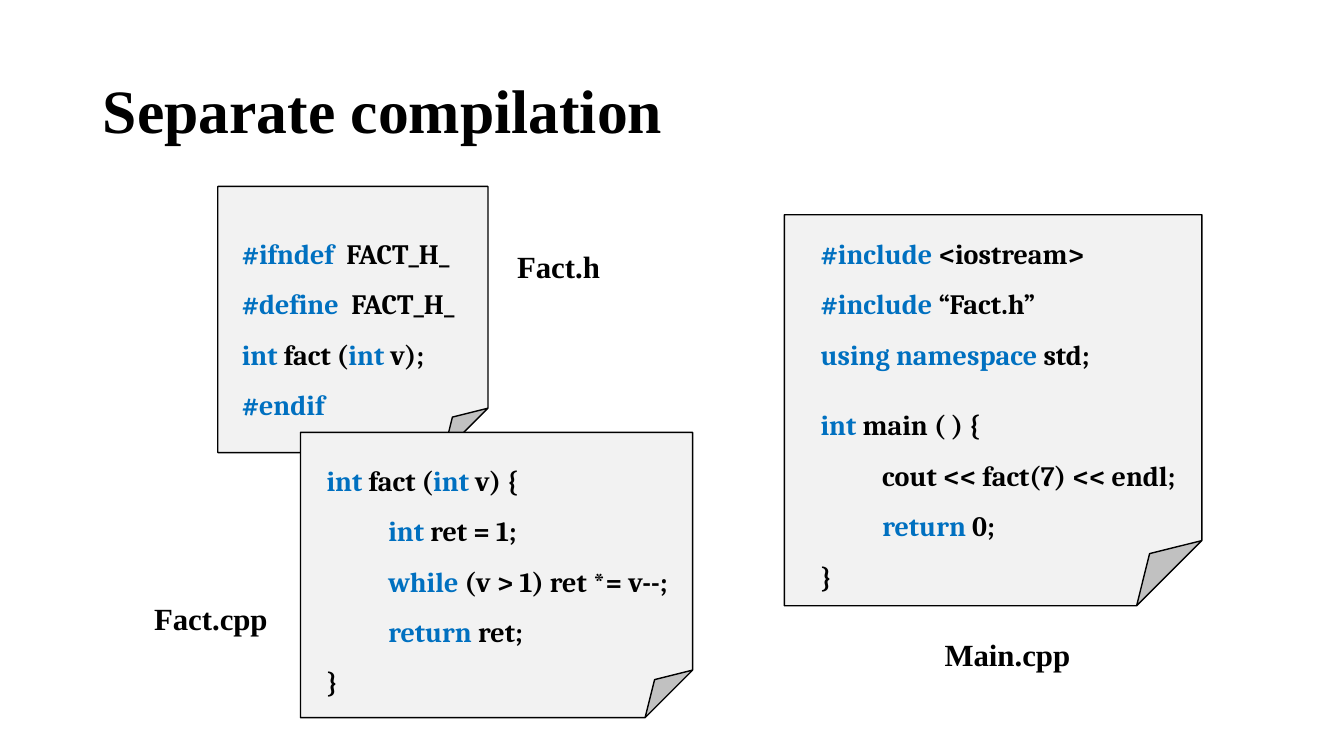
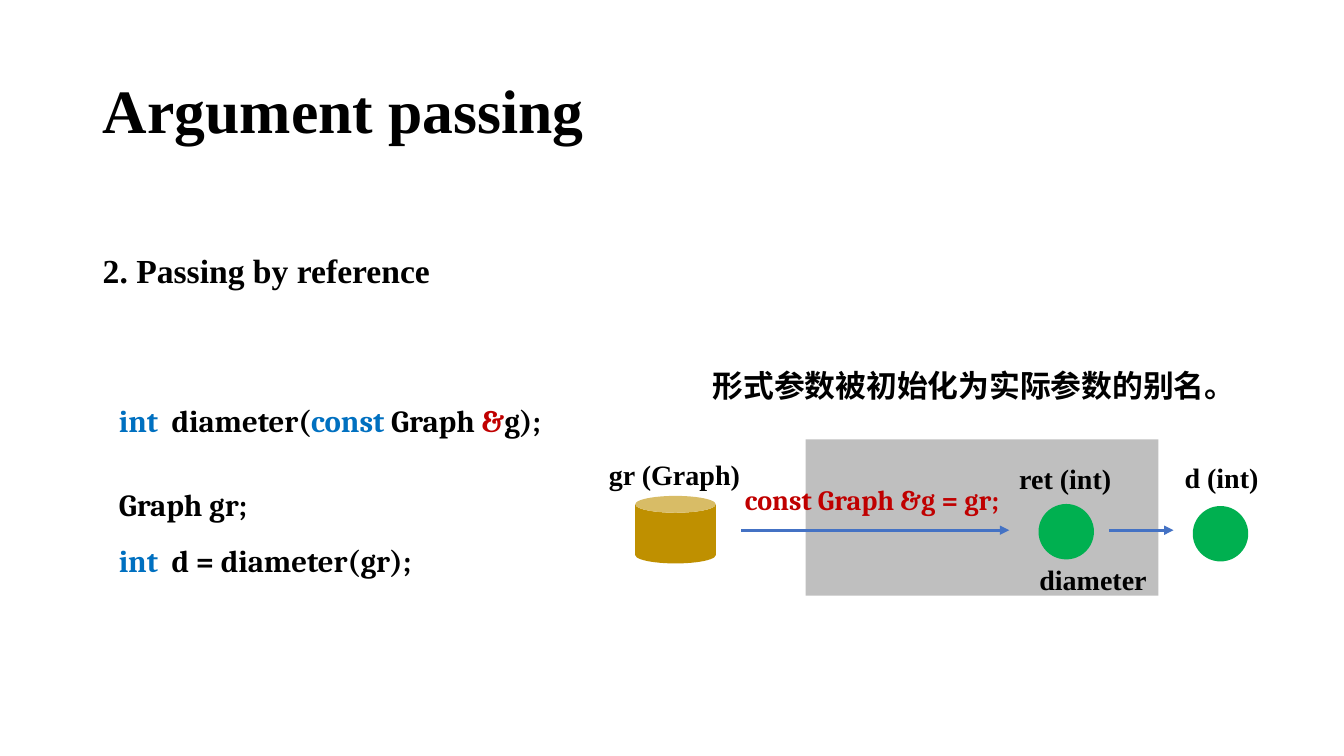
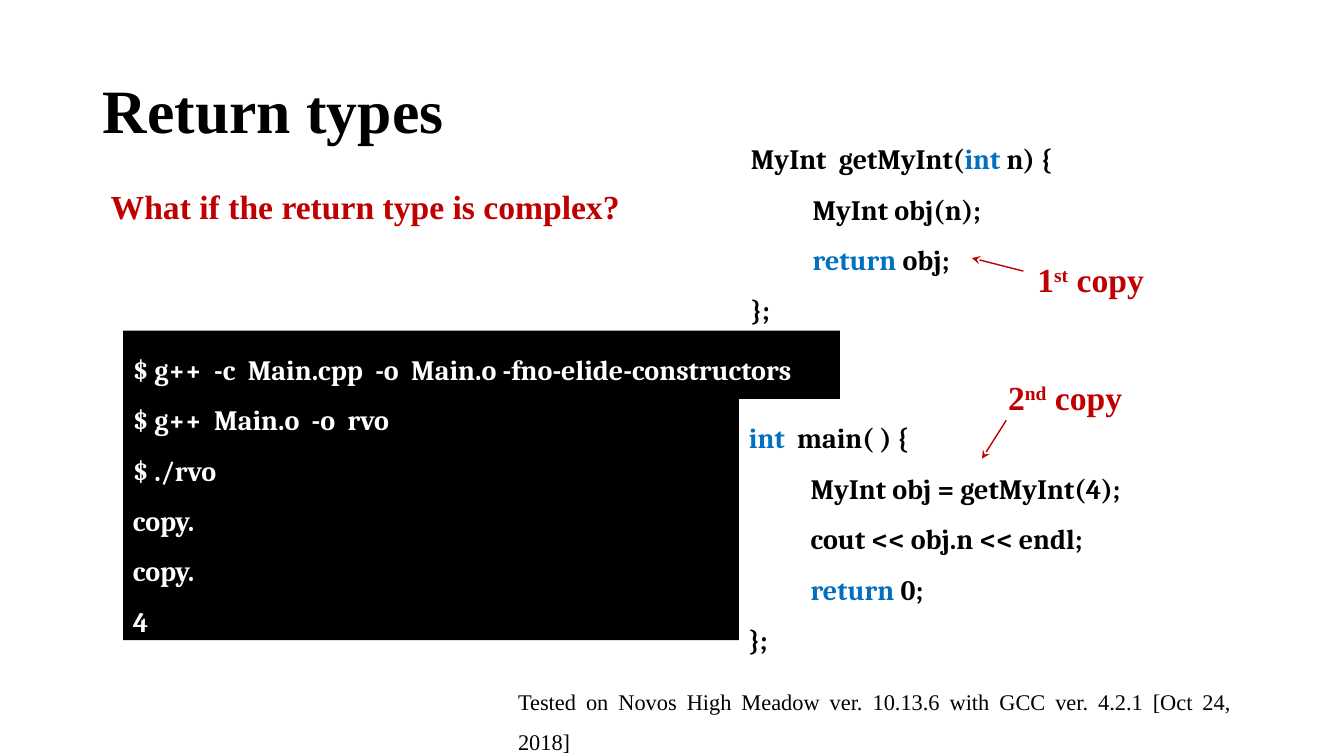
import pptx
import pptx.util
import pptx.dml.color
import pptx.enum.shapes
import pptx.enum.text
import pptx.oxml.ns
from lxml import etree

Inches = pptx.util.Inches
Pt = pptx.util.Pt
Shape = pptx.enum.shapes.MSO_SHAPE
Align = pptx.enum.text.PP_ALIGN
Anchor = pptx.enum.text.MSO_ANCHOR
qn = pptx.oxml.ns.qn

COLORS = {
    "ink": "000000",
    "white": "FFFFFF",
    "paper": "F2F2F2",
    "keyword": "0070C0",
    "accent": "C00000",
    "frame": "BFBFBF",
    "data": "BF9000",
    "value": "00B050",
    "flow": "4472C4",
}
SERIF = "Times New Roman"
CODE = "Cambria"
CHINESE = "Noto Sans CJK SC"
MARKS = {"`": "keyword", "~": "accent", "^": "superscript"}


def rgb(name):
    return pptx.dml.color.RGBColor.from_string(COLORS[name])


def split_marks(line):
    pieces, style, text = [], None, ""
    for char in line:
        if char in MARKS:
            pieces.append((text, style))
            style = None if style else MARKS[char]
            text = ""
        else:
            text += char
    pieces.append((text, style))
    return [piece for piece in pieces if piece[0]]


class Deck:
    def __init__(self):
        self.presentation = pptx.Presentation()
        self.presentation.slide_width = Inches(13.33)
        self.presentation.slide_height = Inches(7.5)
        self.slide = None

    def new_slide(self, heading):
        layout = self.presentation.slide_layouts[5]
        self.slide = self.presentation.slides.add_slide(layout)
        title = self.slide.shapes.title
        title.left, title.top = Inches(0.92), Inches(0.4)
        title.width, title.height = Inches(11.5), Inches(1.45)
        title.text_frame.auto_size = pptx.enum.text.MSO_AUTO_SIZE.NONE
        title.text_frame.vertical_anchor = Anchor.MIDDLE
        self.set_lines(title, [heading], 44, SERIF, "ink", 0.9, Align.LEFT)

    def set_lines(self, holder, lines, size, font, color, spacing=1.5,
                  align=Align.JUSTIFY, bold=True, gaps=None):
        frame = holder.text_frame
        frame.word_wrap = True
        for index, line in enumerate(lines):
            paragraph = frame.add_paragraph() if index else frame.paragraphs[0]
            paragraph.alignment = align
            paragraph.line_spacing = spacing
            if gaps and index in gaps:
                paragraph.space_before = Pt(gaps[index])
            for text, style in split_marks(line):
                run = paragraph.add_run()
                run.text = text
                run.font.size = Pt(size)
                run.font.bold = bold
                run.font.name = font
                run.font.color.rgb = rgb(style if style in COLORS else color)
                properties = run.font._element
                etree.SubElement(properties, qn("a:ea"), typeface=font)
                if style == "superscript":
                    properties.set("baseline", "30000")

    def text(self, box, lines, size=20, font=SERIF, color="ink", **options):
        holder = self.slide.shapes.add_textbox(*map(Inches, box))
        self.set_lines(holder, lines, size, font, color, **options)

    def code(self, box, lines, size=20, **options):
        self.text(box, lines, size, CODE, **options)

    def callout(self, box, line):
        self.text(box, [line], 24, color="accent", spacing=Pt(34.8))

    def shape(self, kind, box, fill, outline=None):
        shape = self.slide.shapes.add_shape(kind, *map(Inches, box))
        shape.shadow.inherit = False
        shape.fill.solid()
        shape.fill.fore_color.rgb = rgb(fill)
        if outline:
            shape.line.color.rgb = rgb(outline)
            shape.line.width = Pt(1)
        else:
            shape.line.fill.background()
        return shape

    def code_panel(self, box, fill, color, lines):
        panel = self.shape(Shape.RECTANGLE, box, fill)
        panel.text_frame.vertical_anchor = Anchor.TOP
        self.set_lines(panel, lines, 20, CODE, color)

    def source_file(self, page, listing, lines, name, name_box, **options):
        self.shape(Shape.FOLDED_CORNER, page, "paper", "ink")
        self.code(listing, lines, **options)
        self.text(name_box, [name], 22)

    def arrow(self, start, end, color, width, head):
        arrow = self.slide.shapes.add_connector(
            pptx.enum.shapes.MSO_CONNECTOR.STRAIGHT, *map(Inches, start + end))
        arrow.line.color.rgb = rgb(color)
        arrow.line.width = Pt(width)
        properties = arrow._element.spPr
        etree.SubElement(properties.find(qn("a:ln")), qn("a:tailEnd"), type=head)
        etree.SubElement(properties, qn("a:effectLst"))


def separate_compilation(deck):
    deck.new_slide("Separate compilation")
    deck.source_file(
        (2.16, 1.85, 2.68, 2.64), (2.3, 2.13, 2.54, 2.06),
        ["`#ifndef  `FACT_H_", "`#define  `FACT_H_",
         "`int` fact (`int` v);", "`#endif`"],
        "Fact.h", (5.03, 2.23, 1.18, 0.59))
    deck.source_file(
        (2.98, 4.29, 3.89, 2.83), (3.14, 4.38, 3.99, 2.56),
        ["`int` fact (`int` v) {",
         "          `int` ret = 1;",
         "          `while` (v > 1) ret *= v--;",
         "          `return` ret;",
         "}"],
        "Fact.cpp", (1.43, 5.72, 1.43, 0.59))
    deck.source_file(
        (7.78, 2.13, 4.14, 3.88), (8.04, 2.13, 3.89, 3.88),
        ["`#include `<iostream>", "`#include` “Fact.h”",
         "`using namespace `std;",
         "`int` main ( ) {",
         "          cout << fact(7) << endl;",
         "          `return` 0;",
         "}"],
        "Main.cpp", (9.27, 6.07, 1.86, 0.59), gaps={3: 14.5})


def argument_passing(deck):
    deck.new_slide("Argument passing")
    deck.text((0.92, 2.23, 5.48, 0.63), ["2. Passing by reference"], 24)
    deck.code((1.08, 3.75, 4.58, 0.59),
              ["`int`  diameter(`const` Graph ~&~g);"], 22)
    deck.code((1.08, 4.59, 3.87, 1.14),
              ["Graph gr;", "`int`  d = diameter(gr);"], 22)

    deck.shape(Shape.RECTANGLE, (7.99, 4.36, 3.5, 1.55), "frame")
    deck.shape(Shape.CAN, (6.3, 4.92, 0.8, 0.67), "data")
    for start, end in ((7.35, 10.01), (11, 11.64)):
        deck.arrow((start, 5.26), (end, 5.26), "flow", 2.25, "triangle")
    for left, top in ((11.83, 5.02), (10.3, 5)):
        deck.shape(Shape.OVAL, (left, top, 0.55, 0.55), "value")
    for label, left, top, width in (
            ("d (int)", 11.65, 4.35, 1.01),
            ("ret (int)", 10.01, 4.36, 1.3),
            ("gr (Graph)", 5.94, 4.32, 1.54),
            ("diameter", 10.21, 5.36, 1.46)):
        deck.text((left, top, width, 0.55), [label])
    deck.code((7.29, 4.57, 2.86, 0.54), ["const Graph &g = gr;"], color="accent")
    deck.text((6.97, 3.41, 5.72, 0.57),
              ["形式参数被初始化为实际参数的别名。"], 22, CHINESE)


def return_types(deck):
    deck.new_slide("Return types")
    deck.callout((1, 1.71, 11.54, 0.55), "What if the return type is complex?")
    deck.code_panel(
        (1.22, 3.28, 7.11, 3.07), "ink", "white",
        ["$ g++  -c  Main.cpp  -o  Main.o -fno-elide-constructors",
         "$ g++  Main.o  -o  rvo", "$ ./rvo", "copy.", "copy.", "4"])
    deck.code_panel(
        (7.33, 3.96, 4.81, 2.56), "white", "ink",
        ["`int`  main( ) {",
         "          MyInt obj = getMyInt(4);",
         "          cout << obj.n << endl;",
         "          `return` 0;",
         "};"])
    deck.text((5.04, 6.64, 7.27, 0.46),
              ["Tested on Novos High Meadow ver. 10.13.6 with GCC ver. 4.2.1 "
               "[Oct 24, 2018]"], 16, bold=False)
    deck.code(
        (7.35, 1.19, 4.21, 2.06),
        ["MyInt  getMyInt(`int` n) {",
         "          MyInt obj(n);",
         "          `return `obj;",
         "};"])
    deck.callout((10.19, 2.44, 1.42, 0.55), "1^st^ copy")
    deck.callout((9.9, 3.61, 1.42, 0.55), "2^nd^ copy")
    deck.arrow((9.98, 4.17), (9.74, 4.55), "accent", 1, "stealth")
    deck.arrow((10.15, 2.69), (9.64, 2.56), "accent", 1, "stealth")


def main():
    deck = Deck()
    separate_compilation(deck)
    argument_passing(deck)
    return_types(deck)
    deck.presentation.save("out.pptx")


if __name__ == "__main__":
    main()
